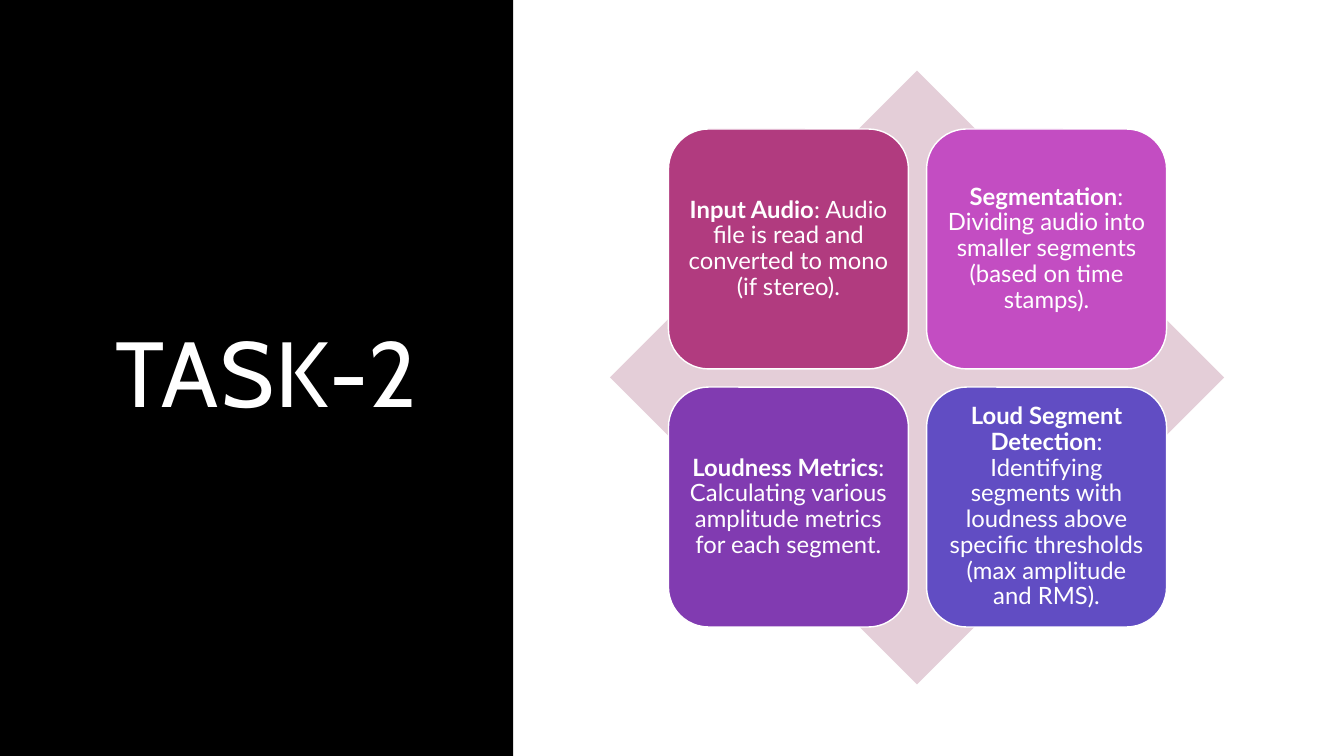
"""Build the TASK-2 slide: a black title panel beside a four-step diamond matrix."""
from dataclasses import dataclass

from pptx import Presentation
from pptx.dml.color import RGBColor
from pptx.enum.shapes import MSO_SHAPE as Shape
from pptx.enum.text import MSO_ANCHOR as Anchor, MSO_AUTO_SIZE as AutoSize, PP_ALIGN as Align
from pptx.util import Inches, Pt


@dataclass(frozen=True)
class Theme:
    panel: str = "000000"
    light: str = "FFFFFF"
    diamond: str = "E4CED8"
    steps: tuple = ("B13B7F", "C34DC2", "813BB1", "614DC3")
    title_font: str = "Cabin"
    body_font: str = "Lato"
    title_size: int = 66
    body_size: int = 17


theme = Theme()


def add_filled(kind, left, top, width, height, color):
    shape = slide.shapes.add_shape(kind, Inches(left), Inches(top), Inches(width), Inches(height))
    shape.shadow.inherit = False
    shape.fill.solid()
    shape.fill.fore_color.rgb = RGBColor.from_string(color)
    shape.line.fill.background()
    return shape


def style_run(run, font_name, size, bold=False):
    run.font.name = font_name
    run.font.size = Pt(size)
    run.font.bold = bold
    run.font.color.rgb = RGBColor.from_string(theme.light)


presentation = Presentation()
presentation.slide_width = Inches(13.33)
presentation.slide_height = Inches(7.5)
slide = presentation.slides.add_slide(presentation.slide_layouts[5])

panel = add_filled(Shape.RECTANGLE, 0, 0, 5.09, 7.5, theme.panel)

title = slide.shapes.title
title.element.addprevious(panel.element)
title.left, title.top = Inches(1.05), Inches(0.7)
title.width, title.height = Inches(3.51), Inches(6.09)
title.text_frame.text = "TASK-2"
title.text_frame.auto_size = AutoSize.NONE
title.text_frame.vertical_anchor = Anchor.MIDDLE
paragraph = title.text_frame.paragraphs[0]
paragraph.alignment = Align.LEFT
paragraph.line_spacing = 0.9
style_run(paragraph.runs[0], theme.title_font, theme.title_size)
paragraph.runs[0].font.element.set("spc", "120") if hasattr(paragraph.runs[0].font, "element") else \
    paragraph.runs[0]._r.get_or_add_rPr().set("spc", "120")

add_filled(Shape.DIAMOND, 6.05, 0.7, 6.09, 6.09, theme.diamond)

steps = [
    ("Input Audio", ": Audio file is read and converted to mono (if stereo)."),
    ("Segmentation", ": Dividing audio into smaller segments (based on time stamps)."),
    ("Loudness Metrics", ": Calculating various amplitude metrics for each segment."),
    ("Loud Segment Detection",
     ": Identifying segments with loudness above specific thresholds (max amplitude and RMS)."),
]
card_size, card_pitch = 2.38, 2.56
for index, (heading, description) in enumerate(steps):
    row, column = divmod(index, 2)
    card = add_filled(Shape.ROUNDED_RECTANGLE, 6.63 + column * card_pitch, 1.28 + row * card_pitch,
                      card_size, card_size, theme.steps[index])
    card.line.color.rgb = RGBColor.from_string(theme.light)
    card.line.width = Pt(1)
    frame = card.text_frame
    frame.word_wrap = True
    frame.vertical_anchor = Anchor.MIDDLE
    frame.margin_left = frame.margin_right = frame.margin_top = frame.margin_bottom = Inches(0.07)
    paragraph = frame.paragraphs[0]
    paragraph.alignment = Align.CENTER
    paragraph.line_spacing = 0.9
    for text, bold in ((heading, True), (description, False)):
        run = paragraph.add_run()
        run.text = text
        style_run(run, theme.body_font, theme.body_size, bold)

presentation.save("out.pptx")
